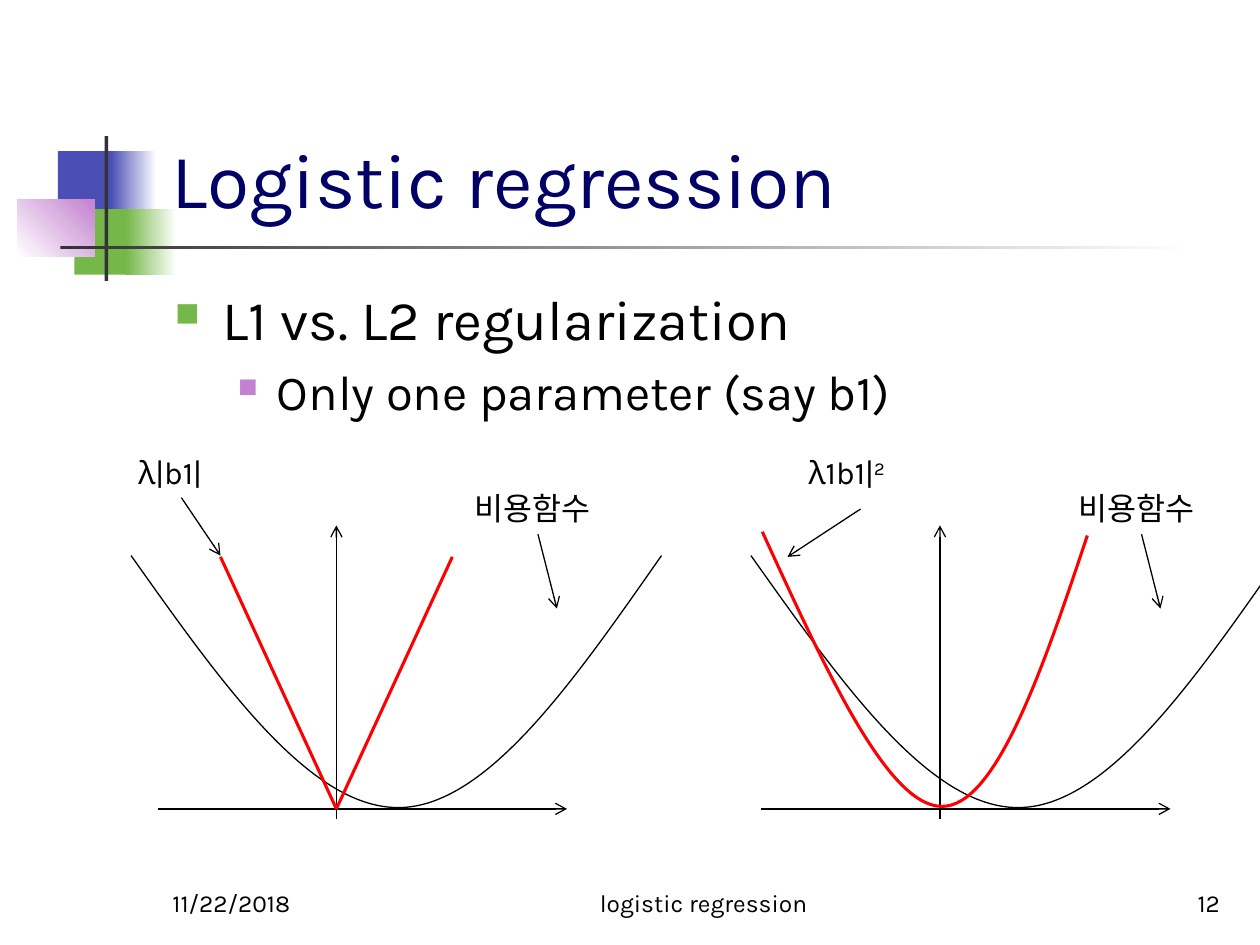
from dataclasses import dataclass

from lxml.etree import SubElement
from pptx import Presentation
from pptx.dml.color import RGBColor
from pptx.enum.shapes import MSO_CONNECTOR as Connector, MSO_SHAPE as Shape
from pptx.enum.text import MSO_ANCHOR as Anchor, PP_ALIGN as Align
from pptx.oxml.ns import qn
from pptx.slide import Slide
from pptx.util import Inches, Pt

COLORS = {
    "title": "000066", "text": "000000", "blue": "4B4EB5", "green": "76B749",
    "purple": "C481CF", "bar": "333333", "white": "FFFFFF", "penalty": "FF0000",
}


def color(name):
    return RGBColor.from_string(COLORS[name])


@dataclass
class Sketch:
    """Draws styled elements on the current slide."""
    page: Slide
    font: str = "Karla"

    def block(self, left, top, width, height, start, end=None, angle=0):
        box = self.page.shapes.add_shape(
            Shape.RECTANGLE, *map(Inches, (left, top, width, height)))
        box.shadow.inherit = False
        box.line.fill.background()
        if end is None:
            box.fill.solid()
            box.fill.fore_color.rgb = color(start)
            return
        box.fill.gradient()
        box.fill.gradient_angle = angle
        for stop, name in zip(box.fill.gradient_stops, (start, end)):
            stop.color.rgb = color(name)

    def style(self, para, size, name="text"):
        para.font.name = self.font
        para.font.size = Pt(size)
        para.font.color.rgb = color(name)

    def text(self, left, top, width, height, words, size, name="text",
             align=Align.LEFT, anchor=Anchor.TOP, wrap=True, superscript=None):
        box = self.page.shapes.add_textbox(*map(Inches, (left, top, width, height)))
        frame = box.text_frame
        frame.word_wrap = wrap
        frame.vertical_anchor = anchor
        para = frame.paragraphs[0]
        para.alignment = align
        para.add_run().text = words
        if superscript:
            span = para.add_run()
            span.text = superscript
            span._r.get_or_add_rPr().set("baseline", "30000")
        self.style(para, size, name)

    def bullets(self, left, top, width, height, items):
        box = self.page.shapes.add_textbox(*map(Inches, (left, top, width, height)))
        frame = box.text_frame
        frame.word_wrap = True
        for level, (words, size, margin, hang, name, percent) in enumerate(items):
            para = frame.add_paragraph() if level else frame.paragraphs[0]
            para.text = words
            para.level = level
            if level:
                para.space_before = Pt(size * 0.2)
            props = para._p.get_or_add_pPr()
            props.set("marL", str(Inches(margin)))
            props.set("indent", str(-Inches(hang)))
            tint = SubElement(props, qn("a:buClr"))
            SubElement(tint, qn("a:srgbClr"), val=COLORS[name])
            SubElement(props, qn("a:buSzPct"), val=str(percent * 1000))
            SubElement(props, qn("a:buChar"), char="■")
            self.style(para, size)

    def line(self, start, end, name="text", weight=0.75, arrow=False):
        link = self.page.shapes.add_connector(
            Connector.STRAIGHT, *map(Inches, (*start, *end)))
        link.line.color.rgb = color(name)
        link.line.width = Pt(weight)
        if arrow:
            SubElement(link.line._get_or_add_ln(), qn("a:tailEnd"), type="arrow")
        SubElement(link._element.spPr, qn("a:effectLst"))

    def curve(self, points, name="text", weight=0.75):
        start, *rest = [tuple(map(Inches, point)) for point in points]
        builder = self.page.shapes.build_freeform(*start)
        builder.add_line_segments(rest, close=False)
        shape = builder.convert_to_shape()
        shape.shadow.inherit = False
        shape.fill.background()
        shape.line.color.rgb = color(name)
        shape.line.width = Pt(weight)
        outline = next(shape._element.iter(qn("a:path")))
        segments = outline.findall(qn("a:lnTo"))
        for first in range(0, len(segments), 3):
            bezier = SubElement(outline, qn("a:cubicBezTo"))
            for segment in segments[first:first + 3]:
                bezier.append(segment[0])
                outline.remove(segment)


def main():
    deck = Presentation()
    deck.slide_width, deck.slide_height = Inches(10), Inches(7.5)
    sketch = Sketch(deck.slides.add_slide(deck.slide_layouts[6]))

    sketch.block(0.46, 1.2, 0.48, 0.52, "blue")
    sketch.block(0.88, 1.2, 0.36, 0.52, "blue", "white")
    sketch.block(0.59, 1.66, 0.46, 0.52, "green")
    sketch.block(1, 1.66, 0.4, 0.52, "green", "white")
    sketch.block(0.14, 1.58, 0.61, 0.46, "white", "purple", angle=45)
    sketch.block(0.83, 1.08, 0.03, 1.15, "bar")
    sketch.block(0.48, 1.95, 9, 0.03, "bar", "white")

    sketch.text(1.26, 0.23, 8.52, 1.6, "Logistic regression", 44, "title",
                anchor=Anchor.BOTTOM)
    sketch.bullets(1.29, 2.21, 8.5, 4.5, [
        ("L1 vs. L2 regularization", 32, 0.38, 0.38, "green", 60),
        ("Only one parameter (say b1)", 28, 0.81, 0.31, "purple", 55),
    ])
    for left, width, words, align in (
        (1.27, 2.08, "11/22/2018", Align.LEFT),
        (4, 3.17, "logistic regression", Align.CENTER),
        (7.7, 2.08, "12", Align.RIGHT),
    ):
        sketch.text(left, 6.83, width, 0.5, words, 14, align=align,
                    anchor=Anchor.BOTTOM)

    for left, cost_left in ((1.25, 1.04), (6.04, 5.96)):
        origin = left + 1.42
        sketch.line((left, 6.42), (left + 3.25, 6.42), arrow=True)
        sketch.line((origin, 6.5), (origin, 4.17), arrow=True)
        steps = zip((0, 0.71, 1.41, 2.12, 2.82, 3.51, 4.21),
                    (4.41, 5.41, 6.41, 6.41, 6.41, 5.41, 4.41))
        sketch.curve([(cost_left + step, height) for step, height in steps])
        sketch.text(left + 2.42, 3.83, 1.21, 0.4, "비용함수", 18, wrap=False)
        sketch.line((left + 3.02, 4.24), (left + 3.17, 4.83), arrow=True)

    for side in (-1, 1):
        sketch.line((2.67, 6.42), (2.67 + side * 0.92, 4.42), "penalty", 1.75)
    sketch.text(1, 3.55, 0.88, 0.4, "λ|b1|", 18, wrap=False)
    sketch.line((1.44, 3.95), (1.75, 4.41), arrow=True)

    sketch.curve([(6.05, 4.22), (6.55, 5.31), (7.04, 6.39), (7.47, 6.4),
                  (7.9, 6.41), (8.27, 5.33), (8.63, 4.25)], "penalty", 1.75)
    sketch.text(6.32, 3.55, 1.01, 0.4, "λ1b1|", 18, wrap=False, superscript="2")
    sketch.line((6.83, 4.04), (6.25, 4.42), arrow=True)

    deck.save("out.pptx")


if __name__ == "__main__":
    main()
